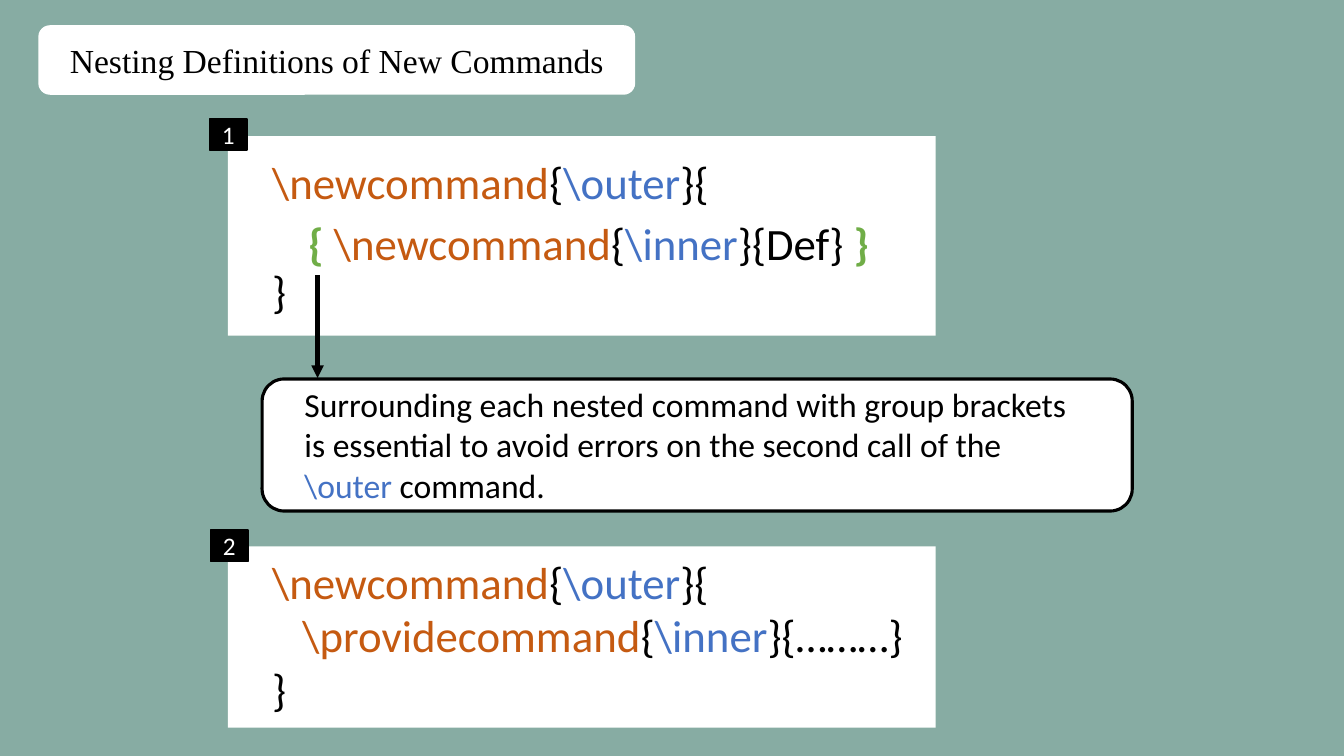
"""Build the slide on nesting definitions of new commands."""
import dataclasses
import pptx
import pptx.util
import pptx.dml.color
import pptx.enum.shapes
import pptx.enum.text
import pptx.oxml
import pptx.oxml.ns

Inches = pptx.util.Inches
Pt = pptx.util.Pt
Kind = pptx.enum.shapes.MSO_SHAPE
Align = pptx.enum.text.PP_ALIGN
Anchor = pptx.enum.text.MSO_ANCHOR


@dataclasses.dataclass(frozen=True)
class Theme:
    """Colours, fonts and type sizes of the slide."""
    back: str = "87ACA3"
    white: str = "FFFFFF"
    black: str = "000000"
    macro: str = "C55A11"
    name: str = "4472C4"
    group: str = "70AD47"
    serif: str = "Times New Roman"
    sans: str = "Calibri"
    code: int = 32
    text: int = 24
    label: int = 18


THEME = Theme()
OPEN = [("\\newcommand", THEME.macro), ("{", THEME.black),
        ("\\outer", THEME.name), ("}{", THEME.black)]
CLOSE = [("}", THEME.black)]
INNER = [("{", THEME.group), (" \\newcommand", THEME.macro),
         ("{", THEME.black), ("\\inner", THEME.name),
         ("}{Def} ", THEME.black), ("}", THEME.group)]
PROVIDE = [("   \\providecommand", THEME.macro), ("{", THEME.black),
           ("\\inner", THEME.name), ("}{………}", THEME.black)]
ADVICE = [("Surrounding each nested command with group brackets is essential "
           "to avoid errors on the second call of the ", THEME.black),
          ("\\outer ", THEME.name), ("command.", THEME.black)]


def color(code):
    """Turn a hex code into a colour."""
    return pptx.dml.color.RGBColor.from_string(code)


def add_runs(para, runs, size, face=THEME.sans):
    """Add coloured runs to a paragraph, group braces in bold."""
    for words, shade in runs:
        run = para.add_run()
        run.text = words
        run.font.name = face
        run.font.size = Pt(size)
        run.font.bold = shade == THEME.group
        run.font.color.rgb = color(shade)


def add_panel(slide, kind, area, fill=THEME.white, width=0):
    """Add a filled shape, outlined in black if a width is given."""
    shape = slide.shapes.add_shape(kind, *map(Inches, area))
    shape.shadow.inherit = False
    shape.fill.solid()
    shape.fill.fore_color.rgb = color(fill)
    if width:
        shape.line.color.rgb = color(THEME.black)
        shape.line.width = Pt(width)
    else:
        shape.line.fill.background()
    return shape


def add_text(slide, area, lines, size, gap=0):
    """Add a text box with a gap in points between its lines."""
    frame = slide.shapes.add_textbox(*map(Inches, area)).text_frame
    frame.word_wrap = True
    for index, runs in enumerate(lines):
        para = frame.add_paragraph() if index else frame.paragraphs[0]
        if index:
            para.space_before = Pt(gap)
        add_runs(para, runs, size)


def add_badge(slide, left, top, label):
    """Add a black number badge."""
    badge = add_panel(slide, Kind.RECTANGLE, (left, top, 0.37, 0.31),
                      THEME.black, 1)
    frame = badge.text_frame
    frame.vertical_anchor = Anchor.MIDDLE
    para = frame.paragraphs[0]
    para.alignment = Align.CENTER
    add_runs(para, [(label, THEME.white)], THEME.label)


def add_arrow(slide, left, top, end):
    """Add an arrow that points straight down."""
    arrow = slide.shapes.add_connector(
        pptx.enum.shapes.MSO_CONNECTOR.STRAIGHT,
        *map(Inches, (left, top, left, end)))
    arrow.line.color.rgb = color(THEME.black)
    arrow.line.width = Pt(3)
    tag = pptx.oxml.ns.qn
    props = arrow.element.find(tag("p:spPr"))
    head = pptx.oxml.parse_xml(
        f'<a:tailEnd {pptx.oxml.ns.nsdecls("a")} type="triangle"/>')
    props.find(tag("a:ln")).append(head)
    props.append(pptx.oxml.parse_xml(
        f'<a:effectLst {pptx.oxml.ns.nsdecls("a")}/>'))


def set_title(slide, area, words):
    """Move the title placeholder onto a white panel and fill it."""
    add_panel(slide, Kind.ROUNDED_RECTANGLE, area)
    title = slide.shapes.title
    title.left, title.top, title.width, title.height = map(Inches, area)
    slide.shapes.element.append(title.element)
    frame = title.text_frame
    frame.word_wrap = True
    frame.auto_size = pptx.enum.text.MSO_AUTO_SIZE.NONE
    frame.vertical_anchor = Anchor.MIDDLE
    para = frame.paragraphs[0]
    para.alignment = Align.CENTER
    add_runs(para, [(words, THEME.black)], THEME.text, THEME.serif)


def main():
    """Build and save the slide."""
    deck = pptx.Presentation()
    deck.slide_width = Inches(13.33)
    deck.slide_height = Inches(7.5)
    slide = deck.slides.add_slide(deck.slide_layouts.get_by_name("Title Only"))
    slide.background.fill.solid()
    slide.background.fill.fore_color.rgb = color(THEME.back)
    set_title(slide, (0.38, 0.25, 5.92, 0.69),
              "Nesting Definitions of New Commands")

    add_panel(slide, Kind.RECTANGLE, (2.26, 1.35, 7.02, 1.98))
    add_text(slide, (2.6, 1.49, 5.98, 1.72), [OPEN, CLOSE], THEME.code, 39)
    add_text(slide, (2.96, 2.09, 6.31, 0.64), [INNER], THEME.code)
    add_arrow(slide, 3.15, 2.73, 3.75)
    add_panel(slide, Kind.ROUNDED_RECTANGLE, (2.6, 3.76, 8.63, 1.31),
              width=2.25)
    add_text(slide, (2.92, 3.76, 8.01, 1.31), [ADVICE], THEME.text)
    add_badge(slide, 2.08, 1.18, "1")

    add_panel(slide, Kind.RECTANGLE, (2.26, 5.42, 7.02, 1.8))
    add_badge(slide, 2.09, 5.26, "2")
    add_text(slide, (2.6, 5.45, 6.46, 1.72), [OPEN, PROVIDE, CLOSE],
             THEME.code)
    deck.save("out.pptx")


if __name__ == "__main__":
    main()
